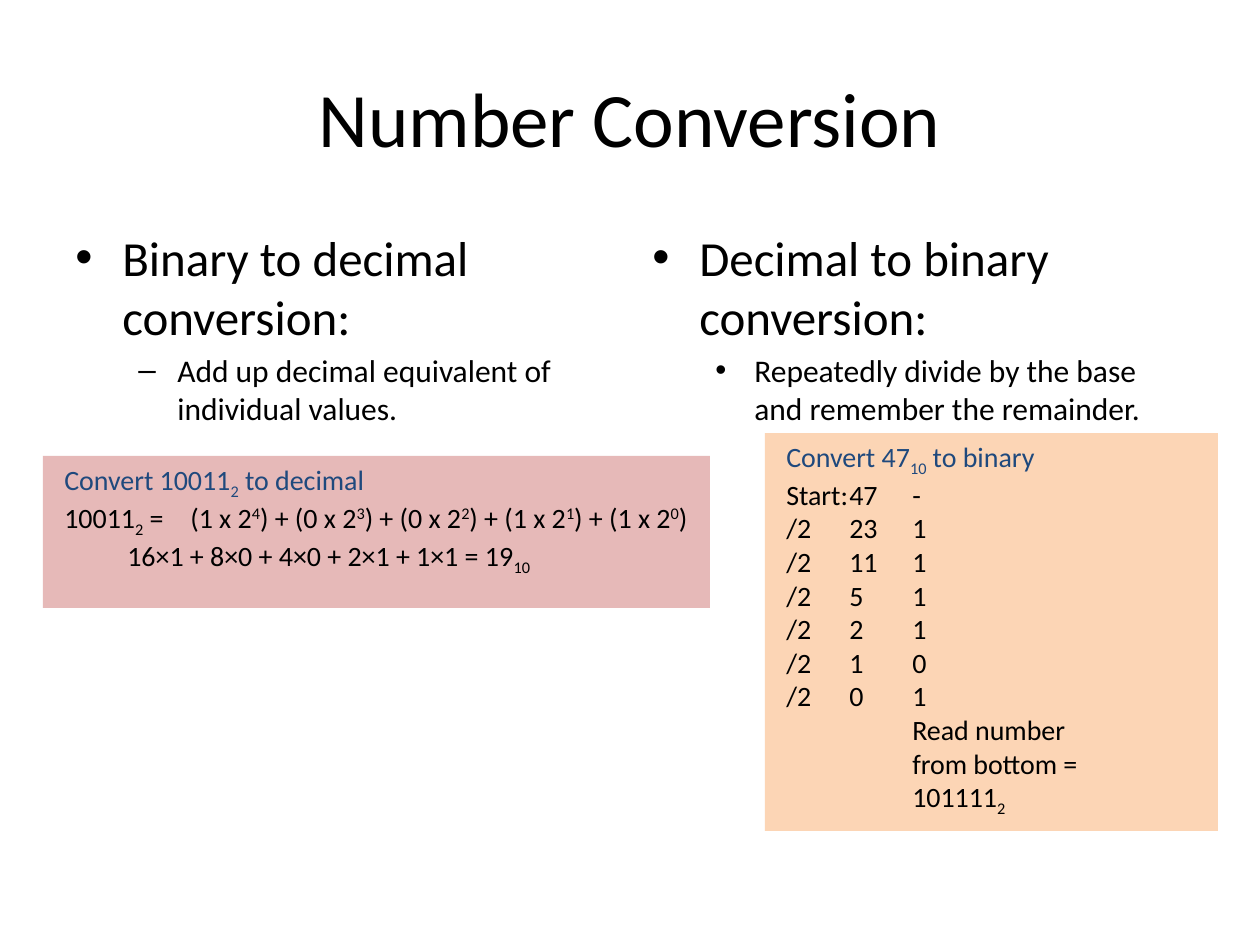
from lxml import etree
from pptx import Presentation
from pptx import util as u
from pptx.dml.color import RGBColor
from pptx.enum import shapes, text
from pptx.oxml import ns

HUE = {"ink": "000000", "head": "1F497D", "rose": "E6B9B8", "peach": "FCD5B5"}
FACE = "Calibri"
SHIFT = {"_": "-25000", "^": "30000"}


def px(n):
    return u.Emu(round(n * 914400 / 126))


def hue(name):
    return RGBColor.from_string(HUE[name])


def style(run, size, color="ink"):
    font = run.font
    font.name, font.size = FACE, u.Pt(size)
    font.color.rgb = hue(color)


def frame_of(slide, box):
    frame = slide.shapes.add_textbox(*map(px, box)).text_frame
    frame.word_wrap = True
    return frame


def add_para(frame, first):
    return frame.paragraphs[0] if first else frame.add_paragraph()


def indent(para, left, hang=0, mark=None):
    props = para._p.get_or_add_pPr()
    props.set("marL", str(px(left)))
    props.set("indent", str(-px(hang)))
    if mark:
        etree.SubElement(props, ns.qn("a:buFont")).set("typeface", "Arial")
        etree.SubElement(props, ns.qn("a:buChar")).set("char", mark)


def add_title(slide, box, words):
    frame = frame_of(slide, box)
    frame.vertical_anchor = text.MSO_ANCHOR.MIDDLE
    para = frame.paragraphs[0]
    para.text = words
    para.alignment = text.PP_ALIGN.CENTER
    style(para.runs[0], 44)


def add_points(slide, box, head, sub, mark):
    """Place a main bullet with one smaller bullet, marked by mark, below it."""
    frame = frame_of(slide, box)
    rows = [(head, 28, 47, 47, "•"), (sub, 18, 102, 39, mark)]
    for level, (words, size, left, hang, sign) in enumerate(rows):
        para = add_para(frame, level == 0)
        para.text = words
        para.level = level
        indent(para, left, hang, sign)
        if level:
            para.space_before = u.Pt(size * 0.2)
        style(para.runs[0], size)


def add_panel(slide, box, fill, lines):
    """Fill a panel with lines; "|" parts runs, "_" lowers and "^" raises one."""
    panel = slide.shapes.add_shape(shapes.MSO_SHAPE.RECTANGLE, *map(px, box))
    panel.shadow.inherit = False
    panel.fill.solid()
    panel.fill.fore_color.rgb = hue(fill)
    panel.line.fill.background()
    frame = panel.text_frame
    frame.word_wrap = True
    frame.vertical_anchor = text.MSO_ANCHOR.TOP
    for row, line in enumerate(lines):
        para = add_para(frame, row == 0)
        para.alignment = text.PP_ALIGN.LEFT
        para.level = 1
        indent(para, 9)
        for part in line.split("|"):
            run = para.add_run()
            shift = SHIFT.get(part[0])
            run.text = part[1:] if shift else part
            style(run, 16, "ink" if row else "head")
            if shift:
                run._r.get_or_add_rPr().set("baseline", shift)


def main():
    deck = Presentation()
    deck.slide_width, deck.slide_height = px(1260), px(945)
    slide = deck.slides.add_slide(deck.slide_layouts[6])

    add_title(slide, (63, 38, 1134, 158), "Number Conversion")
    add_points(slide, (63, 221, 557, 624), "Binary to decimal conversion:",
               "Add up decimal equivalent of individual values.", "–")
    add_points(slide, (640, 221, 557, 624), "Decimal to binary conversion:",
               "Repeatedly divide by the base and remember the remainder.", "•")

    terms = " + ".join(f"({bit} x 2|^{4 - i}|)" for i, bit in enumerate("10011"))
    add_panel(slide, (43, 456, 667, 152), "rose", [
        "Convert 10011|_2| to decimal",
        "10011|_2| = \t" + terms,
        "\t16×1 + 8×0 + 4×0 + 2×1 + 1×1 = 19|_10",
    ])

    steps = [f"/2\t{47 >> n}\t{47 >> (n - 1) & 1}" for n in range(1, 7)]
    notes = ["Read number", "from bottom =", "101111|_2"]
    add_panel(slide, (765, 433, 453, 398), "peach", [
        "Convert 47|_10| to binary",
        "Start:\t47\t-",
        *steps,
        *("\t\t" + note for note in notes),
    ])
    deck.save("out.pptx")


if __name__ == "__main__":
    main()
